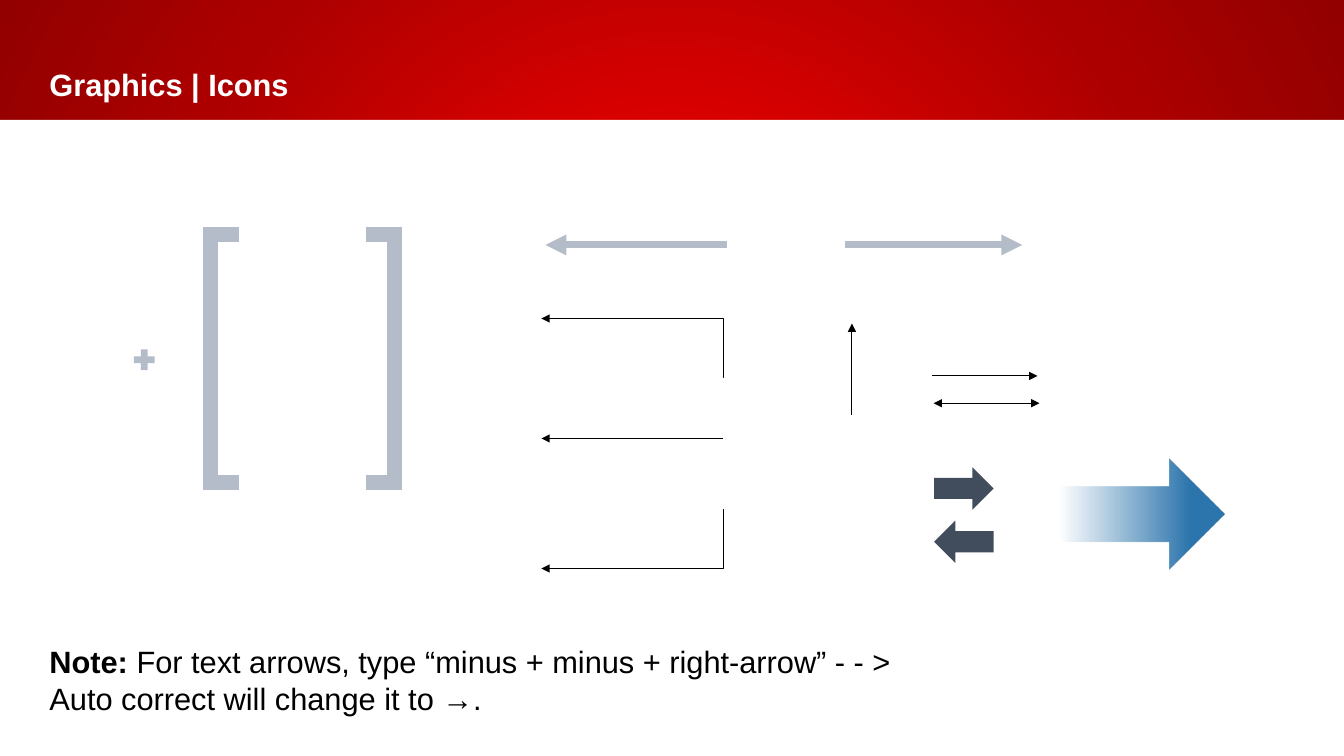
from dataclasses import dataclass
from typing import Optional

from lxml import etree
from pptx import Presentation
from pptx.dml.color import RGBColor
from pptx.enum.shapes import MSO_CONNECTOR, MSO_SHAPE
from pptx.enum.text import MSO_ANCHOR
from pptx.oxml.ns import qn
from pptx.util import Inches, Pt

STRAIGHT, ELBOW = MSO_CONNECTOR.STRAIGHT, MSO_CONNECTOR.ELBOW
RECTANGLE, PLUS = MSO_SHAPE.RECTANGLE, MSO_SHAPE.MATH_PLUS
LEFT_BRACKET, RIGHT_BRACKET = MSO_SHAPE.LEFT_BRACKET, MSO_SHAPE.RIGHT_BRACKET
DOWN_ARROW, RIGHT_ARROW = MSO_SHAPE.DOWN_ARROW, MSO_SHAPE.RIGHT_ARROW
TOP, BOTTOM = MSO_ANCHOR.TOP, MSO_ANCHOR.BOTTOM

WHITE = RGBColor(0xFF, 0xFF, 0xFF)
BLACK = RGBColor(0x00, 0x00, 0x00)
GRAY = RGBColor(0xB3, 0xBC, 0xC8)
SLATE = RGBColor(0x41, 0x4D, 0x5C)
BLUE = RGBColor(0x2D, 0x76, 0xAD)
BRIGHT_RED = RGBColor(0xEF, 0x00, 0x00)
RED = RGBColor(0xAC, 0x00, 0x00)
DARK_RED = RGBColor(0x92, 0x00, 0x00)

FONT = "Arial"
TEXT_WIDTH = 11.09
TEXT_INDENT = 0.49
BAND_HEIGHT = 1.19


@dataclass
class Icon:
    kind: int
    left: float
    top: float
    width: float
    height: float
    fill: Optional[RGBColor] = None
    line: Optional[RGBColor] = None
    rotation: float = 0


@dataclass
class Arrow:
    start: tuple[float, float]
    end: tuple[float, float]
    head: bool = False
    tail: bool = False
    color: RGBColor = BLACK
    width: float = 0.75
    kind: int = STRAIGHT


@dataclass
class Stop:
    percent: int
    color: RGBColor
    opacity: int = 100


ICONS = [
    Icon(RECTANGLE, 0, BAND_HEIGHT, 13.33, 6.32, fill=WHITE),
    Icon(PLUS, 1.29, 3.43, 0.28, 0.28, fill=GRAY),
    Icon(LEFT_BRACKET, 2.09, 2.33, 0.28, 2.46, line=GRAY),
    Icon(RIGHT_BRACKET, 3.63, 2.33, 0.28, 2.46, line=GRAY),
    Icon(DOWN_ARROW, 9.35, 4.55, 0.42, 0.59, fill=SLATE, rotation=270),
    Icon(DOWN_ARROW, 9.35, 5.08, 0.42, 0.59, fill=SLATE, rotation=90),
]
FADING_ARROW = Icon(RIGHT_ARROW, 10.52, 4.55, 1.62, 1.1)

ARROWS = [
    Arrow((5.37, 4.35), (7.17, 4.35), head=True),
    Arrow((9.24, 3.73), (10.29, 3.73), tail=True),
    Arrow((8.45, 3.21), (8.45, 4.12), head=True),
    Arrow((9.26, 4), (10.31, 4), head=True, tail=True),
    Arrow((5.41, 2.43), (7.21, 2.43), head=True, color=GRAY, width=5),
    Arrow((8.38, 2.43), (10.14, 2.43), tail=True, color=GRAY, width=5),
    Arrow((7.17, 3.75), (5.37, 3.16), tail=True, kind=ELBOW),
    Arrow((7.17, 5.05), (5.37, 5.64), tail=True, kind=ELBOW),
]

BACKGROUND_STOPS = [Stop(0, BRIGHT_RED), Stop(16, BRIGHT_RED), Stop(69, RED), Stop(100, DARK_RED)]
FADE_STOPS = [Stop(21, BLUE), Stop(100, BLUE, opacity=0)]


def set_gradient(element, stops: list[Stop], angle: Optional[int] = None) -> None:
    """Fill with a linear gradient, or a centred circular one without an angle."""
    gradient = element.find(".//" + qn("a:gradFill"))
    for child in list(gradient):
        gradient.remove(child)
    stop_list = etree.SubElement(gradient, qn("a:gsLst"))
    for stop in stops:
        item = etree.SubElement(stop_list, qn("a:gs"), pos=str(stop.percent * 1000))
        color = etree.SubElement(item, qn("a:srgbClr"), val=str(stop.color))
        if stop.opacity < 100:
            etree.SubElement(color, qn("a:alpha"), val=str(stop.opacity * 1000))
    if angle is None:
        circle = etree.SubElement(gradient, qn("a:path"), {"path": "circle"})
        center = {side: "50000" for side in "ltrb"}
        etree.SubElement(circle, qn("a:fillToRect"), center)
    else:
        etree.SubElement(gradient, qn("a:lin"), ang=str(angle * 60000), scaled="0")


def add_icon(slide, icon: Icon):
    box = [Inches(value) for value in (icon.left, icon.top, icon.width, icon.height)]
    shape = slide.shapes.add_shape(icon.kind, *box)
    shape.shadow.inherit = False
    shape.rotation = icon.rotation
    if icon.fill is None:
        shape.fill.background()
    else:
        shape.fill.solid()
        shape.fill.fore_color.rgb = icon.fill
    if icon.line is None:
        shape.line.fill.background()
    else:
        # Brackets: square corners drawn with a thick mitred line
        shape.adjustments[0] = 0
        shape.line.color.rgb = icon.line
        shape.line.width = Pt(10.5)
        outline = shape.element.spPr.find(qn("a:ln"))
        etree.SubElement(outline, qn("a:miter"), lim="800000")
    return shape


def add_arrow(slide, arrow: Arrow) -> None:
    points = [Inches(value) for value in (*arrow.start, *arrow.end)]
    connector = slide.shapes.add_connector(arrow.kind, *points)
    connector.line.color.rgb = arrow.color
    connector.line.width = Pt(arrow.width)
    properties = connector.element.spPr
    outline = properties.find(qn("a:ln"))
    for shown, tag in ((arrow.head, "a:headEnd"), (arrow.tail, "a:tailEnd")):
        if shown:
            etree.SubElement(outline, qn(tag), type="triangle")
    etree.SubElement(properties, qn("a:effectLst"))
    if arrow.kind == ELBOW:
        # Put the bend right at the starting side
        geometry = properties.find(qn("a:prstGeom"))
        guides = geometry.find(qn("a:avLst"))
        if guides is None:
            guides = etree.SubElement(geometry, qn("a:avLst"))
        etree.SubElement(guides, qn("a:gd"), name="adj1", fmla="val -300")


def add_text(slide, runs: list[tuple[str, bool]], *, top: float, height: float,
             color: RGBColor, anchor=TOP, margin: float = 0, size: float = 22) -> None:
    """Add one paragraph of (text, bold) runs; a vertical tab breaks the line."""
    box = slide.shapes.add_textbox(0, Inches(top), Inches(TEXT_WIDTH), Inches(height))
    frame = box.text_frame
    frame.word_wrap = True
    frame.vertical_anchor = anchor
    frame.margin_left, frame.margin_right = Inches(TEXT_INDENT), Inches(0.1)
    frame.margin_top = frame.margin_bottom = Inches(margin)
    paragraph = frame.paragraphs[0]
    for text, bold in runs:
        for index, part in enumerate(text.split("\n")):
            if index:
                paragraph.add_line_break()
            run = paragraph.add_run()
            run.text = part
            run.font.name = FONT
            run.font.size = Pt(size)
            run.font.bold = bold
            run.font.color.rgb = color


def main() -> None:
    presentation = Presentation()
    presentation.slide_width, presentation.slide_height = Inches(13.33), Inches(7.5)
    slide = presentation.slides.add_slide(presentation.slide_layouts[6])

    # Red background, seen as the title band
    slide.background.fill.gradient()
    set_gradient(slide.element, BACKGROUND_STOPS)

    # White panel, icons and arrows
    for icon in ICONS:
        add_icon(slide, icon)
    for arrow in ARROWS:
        add_arrow(slide, arrow)
    fading_arrow = add_icon(slide, FADING_ARROW)
    fading_arrow.fill.gradient()
    set_gradient(fading_arrow.element, FADE_STOPS, angle=180)

    # Title and note
    add_text(slide, [("Graphics | Icons", True)], top=0.49, height=0.69,
             color=WHITE, anchor=BOTTOM, margin=0.16)
    note = " For text arrows, type “minus + minus + right-arrow” - - > \nAuto correct will change it to →."
    add_text(slide, [("Note:", True), (note, False)], top=6.38, height=0.75, color=BLACK)

    presentation.save("out.pptx")


if __name__ == "__main__":
    main()
